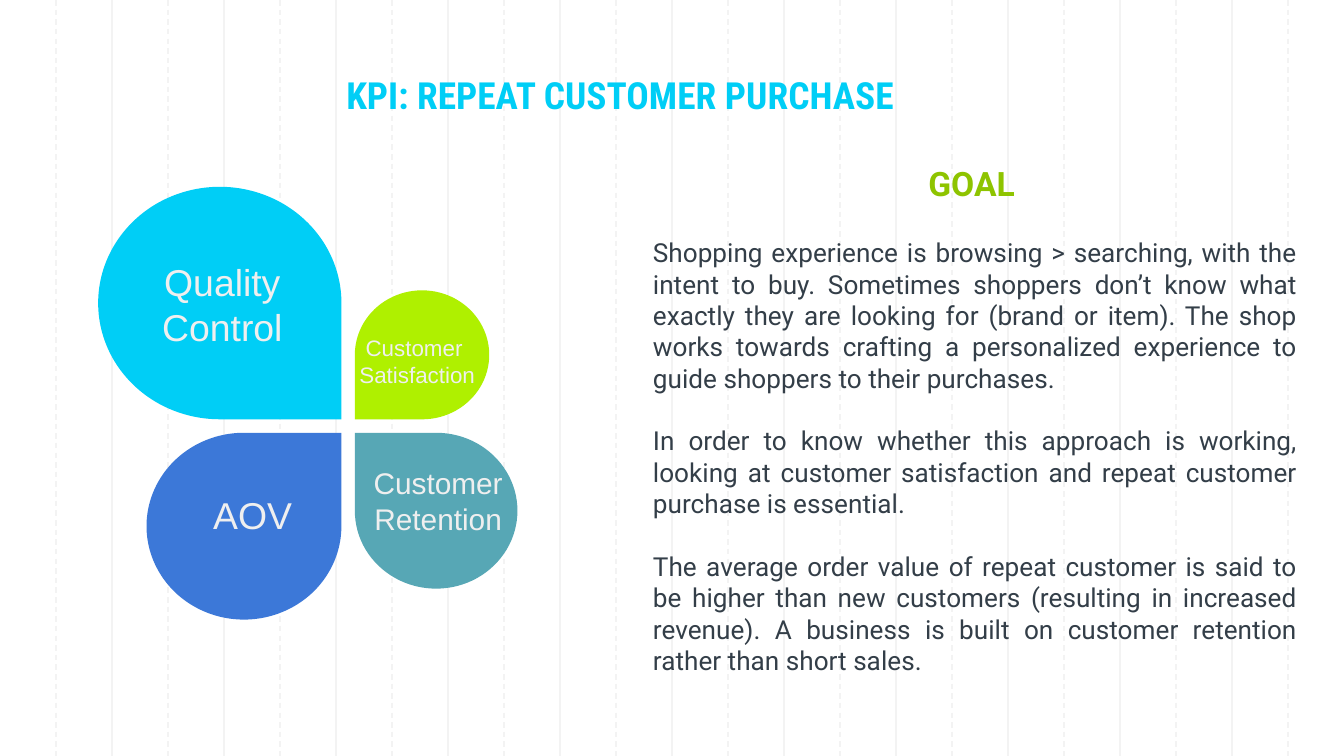
from dataclasses import dataclass

from lxml import etree
from pptx import Presentation
from pptx import util as u
from pptx.dml.color import RGBColor
from pptx.enum import dml, shapes, text
from pptx.oxml.ns import qn


@dataclass(frozen=True)
class Theme:
    cyan: str = "00CEF6"
    blue: str = "3C78D8"
    lime: str = "AFF000"
    teal: str = "57A7B5"
    green: str = "8EC400"
    ink: str = "333E48"
    pale: str = "EFEFEF"
    grid: str = "F3F3F3"
    title_font: str = "Roboto Condensed"
    body_font: str = "Roboto"
    label_font: str = "Arial"
    title: int = 20
    heading: int = 18
    body: int = 14
    large: int = 20
    medium: int = 16
    small: int = 12


THEME = Theme()
WIDTH = 10
HEIGHT = WIDTH * 9 / 16
TOP, MIDDLE = text.MSO_ANCHOR.TOP, text.MSO_ANCHOR.MIDDLE

# Petals: label, fill, side and level of the centre, visible width and height,
# rotation, label box relative to the centre, label size, label anchor
PETALS = [
    (["Quality", "Control"], THEME.cyan, -1, -1, 1.81, 1.73, 90,
     (-1.67, -1.34, 1.47, 0.94), THEME.large, TOP),
    (["AOV"], THEME.blue, -1, 1, 1.45, 1.39, 0,
     (-1.37, 0.19, 1.32, 0.94), THEME.large, MIDDLE),
    (["Customer ", "Satisfaction"], THEME.lime, 1, -1, 1, 0.96, 180,
     (-0.22, -0.78, 1.47, 0.7), THEME.small, TOP),
    (["Customer", "Retention"], THEME.teal, 1, 1, 1.21, 1.16, 270,
     (0.01, 0.19, 1.32, 0.46), THEME.medium, TOP),
]

GOAL_TEXT = [
    "Shopping experience is browsing > searching, with the intent to buy. "
    "Sometimes shoppers don’t know what exactly they are looking for (brand or "
    "item). The shop works towards crafting a personalized experience to guide "
    "shoppers to their purchases.",
    "In order to know whether this approach is working, looking at customer "
    "satisfaction and repeat customer purchase is essential.",
    "The average order value of repeat customer is said to be higher than new "
    "customers (resulting in increased revenue). A business is built on customer "
    "retention rather than short sales.",
]


def add_text(slide, box, lines, font, size, color, bold=False,
             align=text.PP_ALIGN.CENTER, anchor=TOP, gap=0):
    frame = slide.shapes.add_textbox(*map(u.Inches, box)).text_frame
    frame.word_wrap = True
    frame.vertical_anchor = anchor
    frame.margin_left = frame.margin_right = u.Inches(0.1)
    frame.margin_top = frame.margin_bottom = u.Inches(0.1)
    for index, line in enumerate(lines):
        paragraph = frame.add_paragraph() if index else frame.paragraphs[0]
        paragraph.text = line
        paragraph.alignment = align
        if index and gap:
            paragraph.space_before = u.Pt(gap)
        paragraph.font.name = font
        paragraph.font.size = u.Pt(size)
        paragraph.font.bold = bold
        paragraph.font.color.rgb = RGBColor.from_string(color)


def add_grid(slide, width, height, columns=24):
    """Vertical lines, dashed and solid in turn."""
    for column in range(1, columns):
        x = u.Inches(width * column / columns)
        rule = slide.shapes.add_connector(
            shapes.MSO_CONNECTOR.STRAIGHT, x, 0, x, u.Inches(height))
        rule.line.color.rgb = RGBColor.from_string(THEME.grid)
        rule.line.width = u.Pt(0.75)
        if column % 2:
            rule.line.dash_style = dml.MSO_LINE.DASH
        etree.SubElement(rule._element.spPr, qn("a:effectLst"))


def add_petals(slide, center_x, center_y, half_gap=0.05):
    """Four teardrops whose tips meet around the centre."""
    for _, fill, side, level, width, height, rotation, *_ in PETALS:
        mid_x = center_x + side * (half_gap + width / 2)
        mid_y = center_y + level * (half_gap + height / 2)
        # A quarter turn swaps the sides of the unrotated frame
        if rotation % 180:
            width, height = height, width
        petal = slide.shapes.add_shape(
            shapes.MSO_SHAPE.TEAR, u.Inches(mid_x - width / 2),
            u.Inches(mid_y - height / 2), u.Inches(width), u.Inches(height))
        petal.rotation = rotation
        petal.shadow.inherit = False
        petal.fill.solid()
        petal.fill.fore_color.rgb = RGBColor.from_string(fill)
        petal.line.fill.background()

    for label, *_, (dx, dy, width, height), size, anchor in PETALS:
        add_text(slide, (center_x + dx, center_y + dy, width, height), label,
                 THEME.label_font, size, THEME.pale, anchor=anchor)


def add_goal(slide, left, top, width, height):
    """Heading with justified paragraphs below it."""
    add_text(slide, (left + 0.1, top, width - 0.25, 0.8), ["GOAL"],
             THEME.body_font, THEME.heading, THEME.green, bold=True,
             anchor=MIDDLE)
    add_text(slide, (left, top + 0.7, width, height - 0.7), GOAL_TEXT,
             THEME.body_font, THEME.body, THEME.ink,
             align=text.PP_ALIGN.JUSTIFY, gap=16.8)


def main():
    deck = Presentation()
    deck.slide_width, deck.slide_height = u.Inches(WIDTH), u.Inches(HEIGHT)
    slide = deck.slides.add_slide(deck.slide_layouts[6])

    # Background and title
    add_grid(slide, WIDTH, HEIGHT)
    add_text(slide, (0.79, 0.19, 7.65, 1.03), ["KPI: REPEAT CUSTOMER PURCHASE"],
             THEME.title_font, THEME.title, THEME.cyan, bold=True, anchor=MIDDLE)

    # Diagram on the left, goal on the right
    add_petals(slide, 2.59, 3.17)
    add_goal(slide, 4.76, 0.96, 4.99, 4.39)
    deck.save("out.pptx")


if __name__ == "__main__":
    main()
